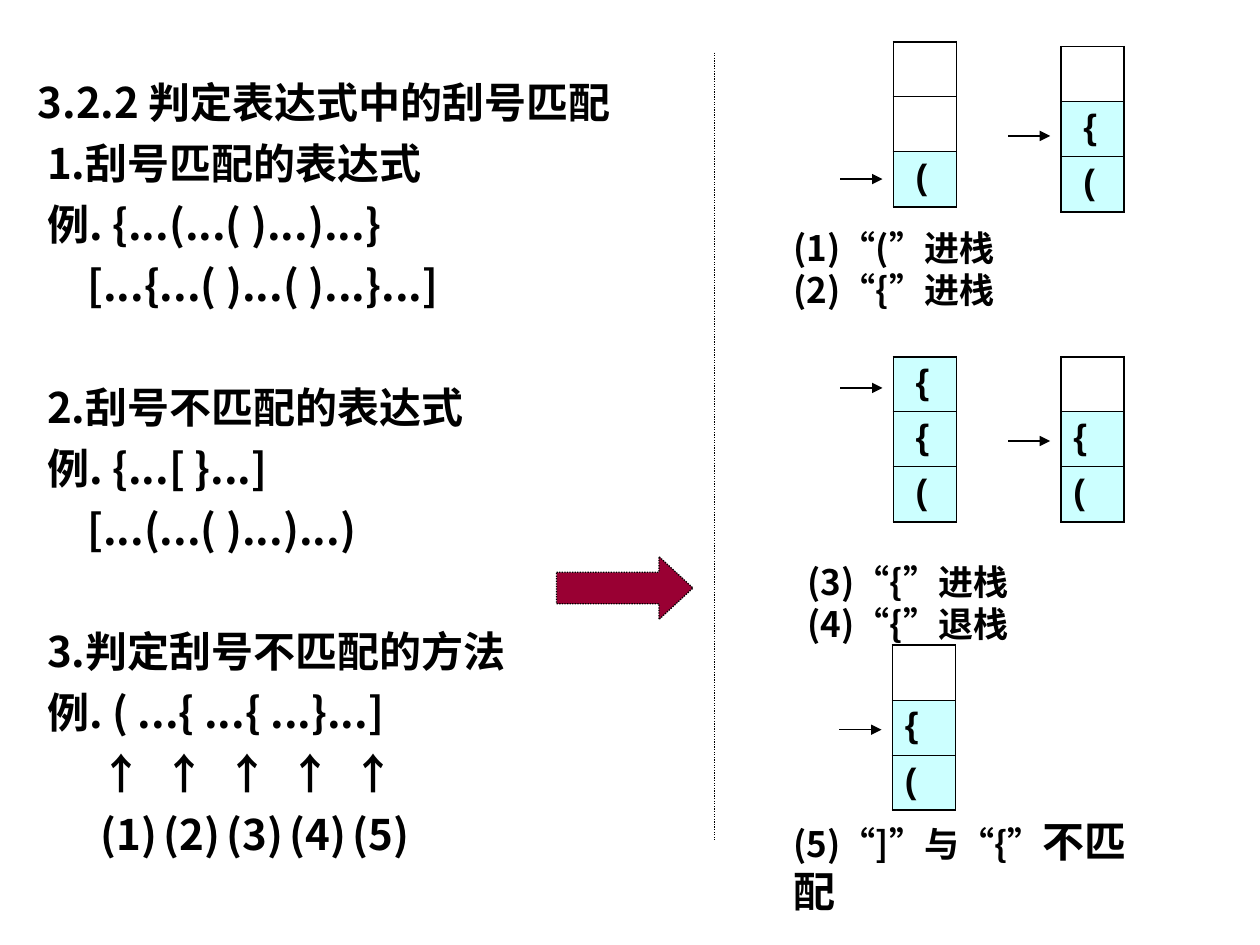
from dataclasses import dataclass

import lxml.etree
import pptx
import pptx.dml.color
import pptx.enum.dml
import pptx.enum.lang
import pptx.enum.shapes
import pptx.oxml.ns
import pptx.util
from pptx.util import Cm, Pt

CJK_FONT = "Noto Sans CJK SC"
STACK_FONT = "Arial"
BLACK, FILLED, CRIMSON = "000000", "CCFFFF", "990033"
CELL_WIDTH, CELL_HEIGHT = 1.27, 1.11
POINTER_GAP, POINTER_LENGTH = 1.07, 0.85
LINE_FACTOR = 1.2
MARK_STOPS = (1.35, 2.83, 4.3, 5.6, 6.9)


@dataclass(frozen=True)
class Line:
    text: str
    indent: float = 0.19
    before: float = 6
    stops: tuple[float, ...] = ()


@dataclass(frozen=True)
class Stack:
    left: float
    top: float
    cells: tuple[str, str, str]
    pointer_top: float
    text_inset: float = 0.25


@dataclass(frozen=True)
class Caption:
    left: float
    top: float
    width: float
    lines: tuple[str, ...]
    large_ending: str = ""


SECTION_GAP = 41
OUTLINE = (
    Line("3.2.2 判定表达式中的刮号匹配", indent=0, before=0),
    Line("1.刮号匹配的表达式"),
    Line("例. {...(...( )...)...}"),
    Line("[...{...( )...( )...}...]", indent=1),
    Line("2.刮号不匹配的表达式", before=SECTION_GAP),
    Line("例. {...[ }...]"),
    Line("[...(...( )...)...)", indent=1),
    Line("3.判定刮号不匹配的方法", before=SECTION_GAP),
    Line("例. ( ...{ ...{ ...}...]"),
    Line("\t↑" * len(MARK_STOPS), indent=0, stops=MARK_STOPS),
    Line("".join(f"\t({step})" for step in range(1, len(MARK_STOPS) + 1)),
         indent=0, stops=MARK_STOPS),
)
STACKS = (
    Stack(18.01, 0.84, ("", "", "("), 3.61, 0.45),
    Stack(21.39, 0.94, ("", "{", "("), 2.74, 0.45),
    Stack(18.01, 7.19, ("{", "{", "("), 7.82, 0.45),
    Stack(21.39, 7.19, ("", "{", "("), 8.89),
    Stack(17.99, 13, ("", "{", "("), 14.71),
)
CAPTIONS = (
    Caption(15.75, 4.45, 8.53, ("(1)“(”进栈", "(2)“{”进栈")),
    Caption(16.03, 11.18, 8.74, ("(3)“{”进栈", "(4)“{”退栈")),
    Caption(15.75, 16.31, 7.65, ("(5)“]”与“{”",), "不匹配"),
)


def rgb(value: str) -> pptx.dml.color.RGBColor:
    return pptx.dml.color.RGBColor.from_string(value)


def add_xml(parent, tag: str, **attributes: str):
    return lxml.etree.SubElement(parent, pptx.oxml.ns.qn(tag), attributes)


def format_run(run, size: float, typeface: str) -> None:
    font = run.font
    font.size, font.bold, font.name = Pt(size), True, typeface
    font.color.rgb = rgb(BLACK)
    font.language_id = pptx.enum.lang.MSO_LANGUAGE_ID.SIMPLIFIED_CHINESE
    add_xml(font._element, "a:ea", typeface=typeface)


def add_text_frame(slide, left: float, top: float, width: float, height: float):
    box = slide.shapes.add_textbox(Cm(left), Cm(top), Cm(width), Cm(height))
    box.text_frame.word_wrap = True
    return box.text_frame


def next_paragraph(frame, index: int):
    return frame.add_paragraph() if index else frame.paragraphs[0]


def draw_outline(slide) -> None:
    frame = add_text_frame(slide, 0.51, 1.42, 13.77, 16.71)
    for index, line in enumerate(OUTLINE):
        paragraph = next_paragraph(frame, index)
        paragraph.text = line.text
        paragraph.line_spacing = Pt(24 * LINE_FACTOR)
        paragraph.space_before = Pt(line.before)
        properties = paragraph._p.get_or_add_pPr()
        properties.set("marL", str(Cm(line.indent)))
        properties.set("indent", "0")
        if line.stops:
            tabs = add_xml(properties, "a:tabLst")
            for stop in line.stops:
                add_xml(tabs, "a:tab", pos=str(Cm(stop)), algn="ctr")
        for run in paragraph.runs:
            format_run(run, 24, CJK_FONT)


def draw_caption(slide, caption: Caption) -> None:
    frame = add_text_frame(slide, caption.left, caption.top, caption.width, 1.12)
    for index, text in enumerate(caption.lines):
        paragraph = next_paragraph(frame, index)
        paragraph.text = text
        format_run(paragraph.runs[0], 20, CJK_FONT)
        paragraph.line_spacing = Pt(20 * LINE_FACTOR)
    if caption.large_ending:
        ending = paragraph.add_run()
        ending.text = caption.large_ending
        format_run(ending, 24, CJK_FONT)
        paragraph.line_spacing = Pt(24 * LINE_FACTOR)


def set_borders(cell, is_first: bool, is_last: bool) -> None:
    thick, thin = 1.08, 0.45
    widths = {"L": thick, "R": thick,
              "T": thick if is_first else thin, "B": thick if is_last else thin}
    properties = cell._tc.get_or_add_tcPr()
    for side, width in widths.items():
        border = add_xml(properties, f"a:ln{side}", w=str(Pt(width)))
        add_xml(add_xml(border, "a:solidFill"), "a:srgbClr", val=BLACK)


def draw_line(slide, start: tuple[float, float], end: tuple[float, float]):
    line = slide.shapes.add_connector(
        pptx.enum.shapes.MSO_CONNECTOR.STRAIGHT,
        Cm(start[0]), Cm(start[1]), Cm(end[0]), Cm(end[1]))
    line.line.color.rgb = rgb(BLACK)
    line.line.width = Pt(0.75)
    add_xml(line._element.spPr, "a:effectLst")
    return line


def draw_stack(slide, stack: Stack) -> None:
    """Draw a stack of cells and the arrow that points at its top element."""
    count = len(stack.cells)
    table = slide.shapes.add_table(
        count, 1, Cm(stack.left), Cm(stack.top),
        Cm(CELL_WIDTH), Cm(CELL_HEIGHT * count)).table
    table.first_row = table.horz_banding = False
    for index, bracket in enumerate(stack.cells):
        table.rows[index].height = Cm(CELL_HEIGHT)
        cell = table.cell(index, 0)
        cell.margin_left = Cm(stack.text_inset)
        set_borders(cell, index == 0, index == count - 1)
        if bracket:
            cell.text_frame.text = bracket
            format_run(cell.text_frame.paragraphs[0].runs[0], 20, STACK_FONT)
            cell.fill.solid()
            cell.fill.fore_color.rgb = rgb(FILLED)
        else:
            cell.fill.background()
    tail = stack.left - POINTER_GAP
    pointer = draw_line(slide, (tail, stack.pointer_top),
                        (tail + POINTER_LENGTH, stack.pointer_top))
    add_xml(pointer.line._get_or_add_ln(), "a:tailEnd", type="triangle")


def draw_divider(slide) -> None:
    divider = draw_line(slide, (14.4, 1.06), (14.4, 16.93))
    divider.line.dash_style = pptx.enum.dml.MSO_LINE.ROUND_DOT


def draw_block_arrow(slide) -> None:
    arrow = slide.shapes.add_shape(
        pptx.enum.shapes.MSO_SHAPE.RIGHT_ARROW,
        Cm(11.22), Cm(11.22), Cm(2.75), Cm(1.27))
    arrow.adjustments[0], arrow.adjustments[1] = 0.5, 0.54
    arrow.shadow.inherit = False
    arrow.fill.solid()
    arrow.fill.fore_color.rgb = rgb(CRIMSON)
    arrow.line.color.rgb = rgb(BLACK)
    arrow.line.width = Pt(0.75)
    arrow.line.dash_style = pptx.enum.dml.MSO_LINE.ROUND_DOT


def main() -> None:
    deck = pptx.Presentation()
    deck.slide_width, deck.slide_height = Cm(25.4), Cm(19.05)
    slide = deck.slides.add_slide(deck.slide_layouts[6])
    draw_outline(slide)
    for stack in STACKS:
        draw_stack(slide, stack)
    for caption in CAPTIONS:
        draw_caption(slide, caption)
    draw_divider(slide)
    draw_block_arrow(slide)
    deck.save("out.pptx")


if __name__ == "__main__":
    main()
